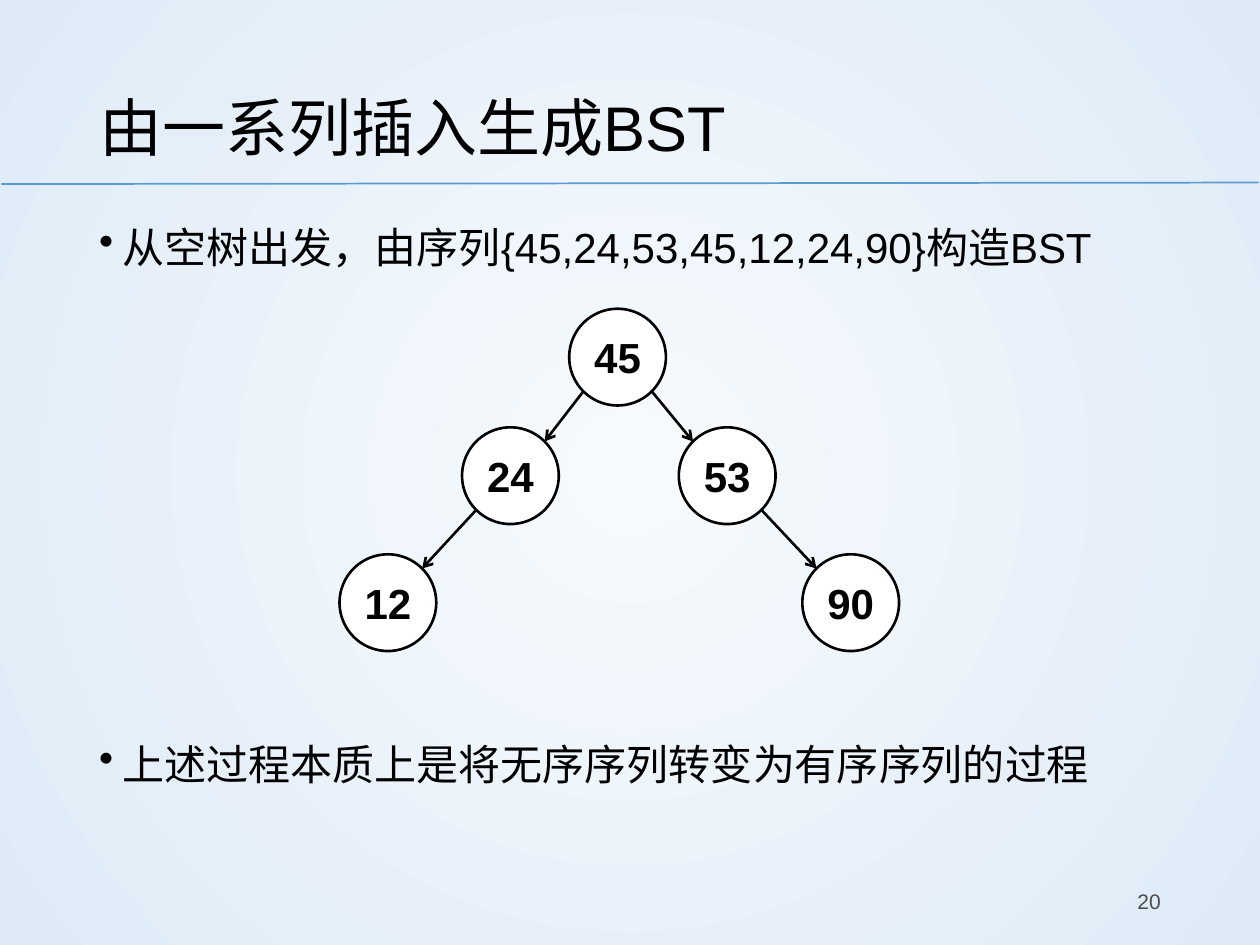
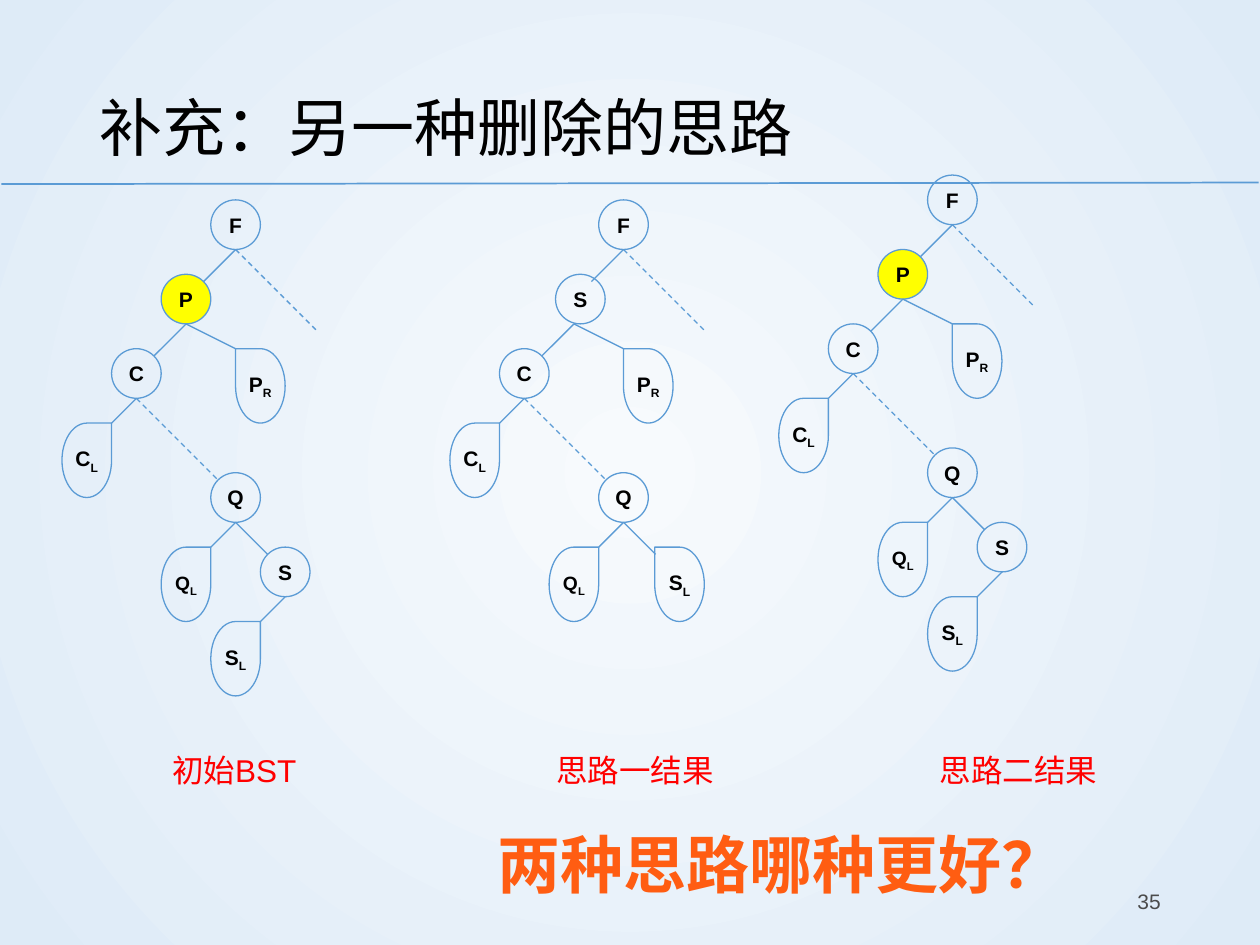
from lxml.etree import SubElement
from pptx import Presentation
from pptx.dml.color import RGBColor
from pptx.enum.dml import MSO_LINE
from pptx.enum.lang import MSO_LANGUAGE_ID
from pptx.enum.shapes import MSO_CONNECTOR, MSO_SHAPE
from pptx.enum.text import MSO_ANCHOR, PP_ALIGN
from pptx.oxml.ns import qn
from pptx.util import Cm, Pt

COLORS = {
    "center": "F7FAFD", "edge": "DEEBF7", "blue": "5B9BD5", "black": "000000",
    "white": "FFFFFF", "gray": "4B4B4B", "yellow": "FFFF00", "red": "FF0000",
    "orange": "FF5D12",
}
FONT = "Arial"
DIAGONAL = 0.5 ** 0.5

NUMBER_SIZE = 1.95
NUMBER_CENTERS = {
    "45": (5.59, 0.98), "24": (3.43, 3.37), "53": (7.8, 3.37),
    "12": (0.96, 5.93), "90": (10.29, 5.93),
}
NUMBER_EDGES = [("45", "24"), ("45", "53"), ("24", "12"), ("53", "90")]

SLOTS = {
    "F": (3, 0), "P": (2, 1.5), "C": (1, 3), "C_L": (0, 4.5), "P_R": (3.5, 3),
    "Q": (3, 5.5), "Q_L": (2, 7), "S": (4, 7), "S_L": (3, 8.5),
}
SLOT_EDGES = [
    ("F", "P"), ("P", "C"), ("C", "C_L"), ("P", "P_R"), ("C", "Q"),
    ("Q", "Q_L"), ("Q", "S"), ("S", "S_L"),
]
NUDGE = 0.13


def color(name):
    """Return the palette colour of that name."""
    return RGBColor.from_string(COLORS[name])


def write_text(frame, text, size=12, ink="black", bold=False, align=PP_ALIGN.LEFT,
               anchor=MSO_ANCHOR.TOP, spacing=None, bullet=False, wrap=True, inset=None):
    """Write one paragraph; an underscore in the text starts a subscript."""
    frame.word_wrap = wrap
    frame.vertical_anchor = anchor
    if inset is not None:
        frame.margin_left = frame.margin_right = Cm(inset)
    para = frame.paragraphs[0]
    para.alignment = align
    if spacing:
        para.line_spacing = spacing
    if bullet:
        properties = para._p.get_or_add_pPr()
        properties.set("marL", str(Cm(0.48)))
        properties.set("indent", str(-Cm(0.48)))
        SubElement(properties, qn("a:buChar")).set("char", "•")
    for index, part in enumerate(text.split("_")):
        span = para.add_run()
        span.text = part
        span.font.name = FONT
        span.font.size = Pt(size)
        span.font.bold = bold
        span.font.color.rgb = color(ink)
        span.font.language_id = MSO_LANGUAGE_ID.SIMPLIFIED_CHINESE
        if index:
            span._r.get_or_add_rPr().set("baseline", "-25000")


def add_text(page, box, text, **style):
    """Add a text box at (left, top, width, height) in centimetres."""
    write_text(page.shapes.add_textbox(*map(Cm, box)).text_frame, text, **style)


def add_line(page, start, end, ink="blue", width=0.75, dashed=False, arrow=False):
    """Draw a straight line between two points in centimetres."""
    line = page.shapes.add_connector(MSO_CONNECTOR.STRAIGHT, *map(Cm, (*start, *end)))
    line.line.color.rgb = color(ink)
    line.line.width = Pt(width)
    if dashed:
        line.line.dash_style = MSO_LINE.DASH
    properties = line.element.spPr
    if arrow:
        SubElement(properties.find(qn("a:ln")), qn("a:tailEnd")).set("type", "arrow")
    SubElement(properties, qn("a:effectLst"))


def add_node(page, kind, box, text, fill=None, ink="blue", width=0.75, size=12, flip=False):
    """Add a labelled tree node."""
    node = page.shapes.add_shape(kind, *map(Cm, box))
    node.shadow.inherit = False
    if fill:
        node.fill.solid()
        node.fill.fore_color.rgb = color(fill)
    else:
        node.fill.background()
    node.line.color.rgb = color(ink)
    node.line.width = Pt(width)
    if flip:
        node.element.spPr.find(qn("a:xfrm")).set("flipH", "1")
    write_text(node.text_frame, text, size=size, bold=True, align=PP_ALIGN.CENTER,
               anchor=MSO_ANCHOR.MIDDLE, inset=0)


def paint_background(page):
    """Fill the page with a round gradient."""
    fill = page.background.fill
    fill.gradient()
    for stop, name in zip(fill.gradient_stops, ("center", "edge")):
        stop.color.rgb = color(name)
    gradient = page.element.find(".//" + qn("a:gradFill"))
    gradient.remove(gradient.find(qn("a:lin")))
    circle = SubElement(gradient, qn("a:path"))
    circle.set("path", "circle")
    focus = SubElement(circle, qn("a:fillToRect"))
    for side in "ltrb":
        focus.set(side, "50000")


def add_page(deck, title, number):
    """Add a page with background, rule, title and page number."""
    page = deck.slides.add_slide(deck.slide_layouts[6])
    paint_background(page)
    add_line(page, (0.03, 3.71), (25.37, 3.68), width=1)
    add_text(page, (1.75, 1.02, 21.9, 2.74), title, size=36, spacing=1.2,
             anchor=MSO_ANCHOR.MIDDLE)
    add_text(page, (17.93, 17.65, 5.72, 1.02), number, ink="gray",
             align=PP_ALIGN.RIGHT, anchor=MSO_ANCHOR.MIDDLE)
    return page


def draw_number_tree(page, left, top):
    """Draw the search tree of numbers from its top left corner."""
    centers = {key: (left + x, top + y) for key, (x, y) in NUMBER_CENTERS.items()}
    radius = NUMBER_SIZE / 2
    reach = radius * DIAGONAL
    for key, (x, y) in centers.items():
        add_node(page, MSO_SHAPE.OVAL, (x - radius, y - radius, NUMBER_SIZE, NUMBER_SIZE),
                 key, fill="white", ink="black", width=1.5, size=24)
    for parent, child in NUMBER_EDGES:
        (x1, y1), (x2, y2) = centers[parent], centers[child]
        shift = reach if x2 > x1 else -reach
        add_line(page, (x1 + shift, y1 + reach), (x2 - shift, y2 - reach),
                 ink="black", width=1.5, arrow=True)


def edge_end(parent, child):
    """Return where the edge from a parent slot meets its child slot."""
    x, y = SLOTS[child]
    on_left = x < SLOTS[parent][0]
    if "_" in child:
        return x + on_left, y
    reach = DIAGONAL / 2
    return x + 0.5 + (reach if on_left else -reach), y + 0.5 - reach


def draw_deletion_tree(page, left, top, replaced=False):
    """Draw a tree on a 1 cm grid; when replaced, S takes the place of P."""
    labels = {slot: slot for slot in SLOTS}
    if replaced:
        labels.update(P="S", S="S_L")
        del labels["S_L"]
    for slot, label in labels.items():
        x, y = SLOTS[slot]
        x += left + (NUDGE if label != slot else 0)
        leaf = "_" in label
        add_node(page, MSO_SHAPE.TEAR if leaf else MSO_SHAPE.OVAL,
                 (x, top + y, 1, 1.5 if leaf else 1), label,
                 fill="yellow" if label == "P" else None,
                 size=11 if label == "Q_L" else 12,
                 flip=leaf and slot in ("P_R", "S"))
    edges = [(parent, edge_end(parent, child), (parent, child) == ("C", "Q"))
             for parent, child in SLOT_EDGES if child in labels]
    edges.append(("F", (5.15, 2.65), True))
    for parent, (end_x, end_y), dashed in edges:
        x, y = SLOTS[parent]
        add_line(page, (left + x + 0.5, top + y + 1), (left + end_x, top + end_y),
                 dashed=dashed)


def build_insertion_page(deck):
    """Build the page on making a tree by insertions."""
    page = add_page(deck, "由一系列插入生成BST", "20")
    points = [(4.14, "从空树出发，由序列{45,24,53,45,12,24,90}构造BST"),
              (14.55, "上述过程本质上是将无序序列转变为有序序列的过程")]
    for top, text in points:
        add_text(page, (1.75, top, 21.9, 1.6), text, size=24, spacing=1.2, bullet=True)
    draw_number_tree(page, 6.86, 6.22)


def build_deletion_page(deck):
    """Build the page comparing two ways of deletion."""
    page = add_page(deck, "补充：另一种删除的思路", "35")
    draw_deletion_tree(page, 1.25, 4.03)
    draw_deletion_tree(page, 9.07, 4.03, replaced=True)
    draw_deletion_tree(page, 15.7, 3.53)
    for column, caption in enumerate(("初始BST", "思路一结果", "思路二结果")):
        add_text(page, (3.22 + 7.74 * column, 15.01, 5, 1.02), caption, size=18, ink="red")
    add_text(page, (9.7, 16.51, 12.09, 1.8), "两种思路哪种更好？", size=36, ink="orange",
             bold=True, align=PP_ALIGN.CENTER, wrap=False)


def main():
    """Build and save the deck."""
    deck = Presentation()
    deck.slide_width, deck.slide_height = Cm(25.4), Cm(19.05)
    build_insertion_page(deck)
    build_deletion_page(deck)
    deck.save("out.pptx")


if __name__ == "__main__":
    main()
